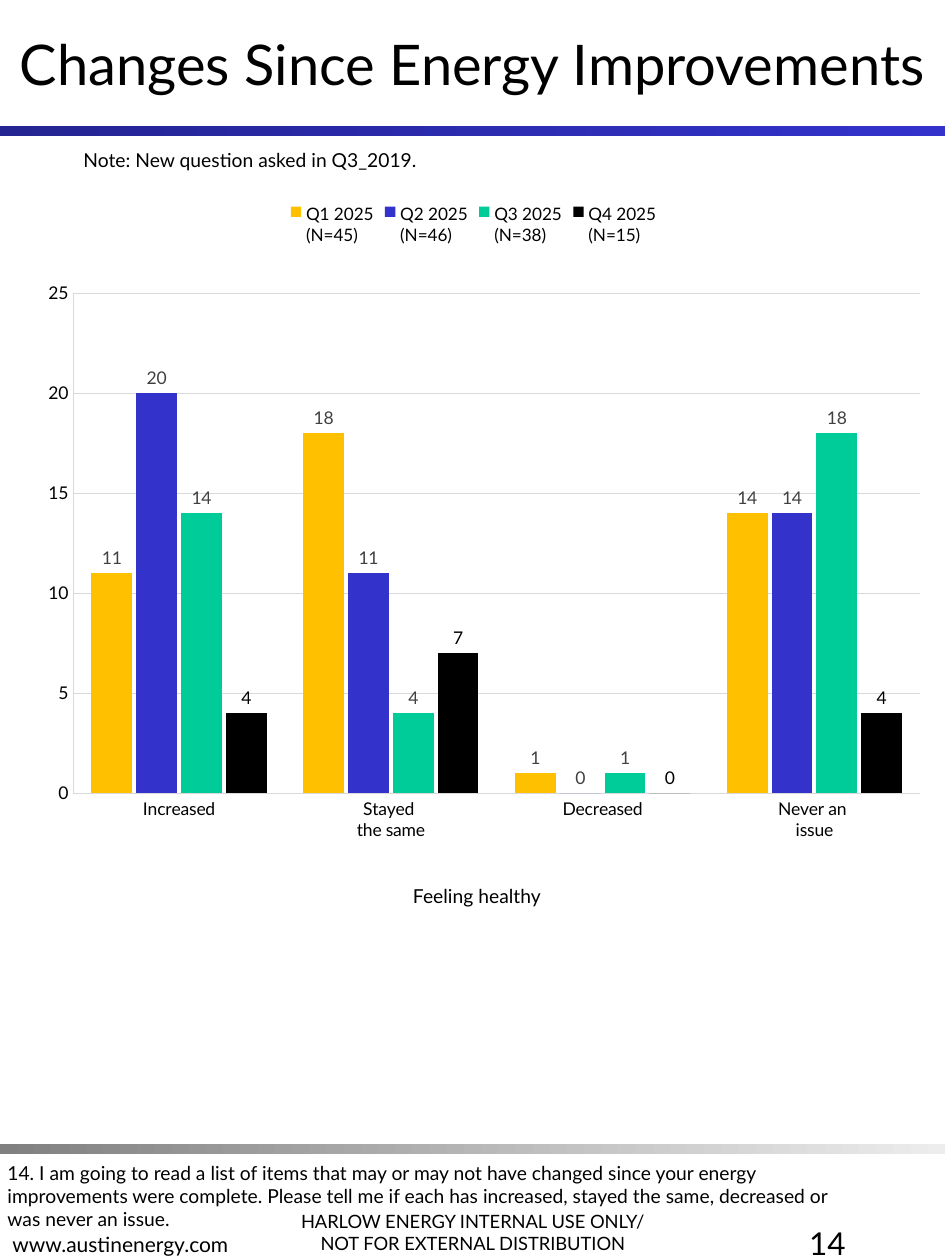
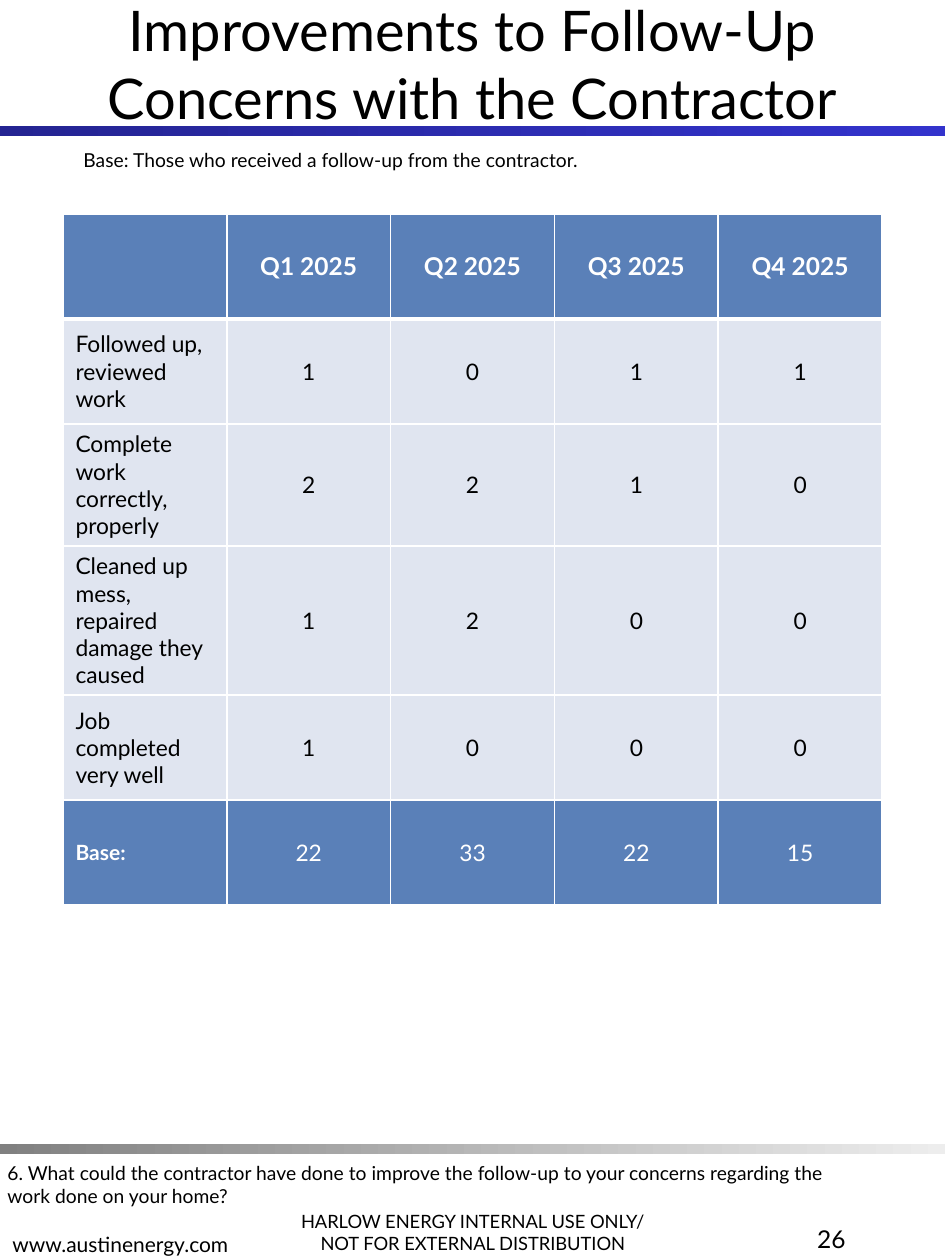
from lxml import etree
from pptx import Presentation
from pptx import util as u
from pptx.chart.data import CategoryChartData
from pptx.dml.color import RGBColor
from pptx.enum import chart as charts, shapes, text
from pptx.oxml import parse_xml
from pptx.oxml.ns import nsdecls, qn

FONT = "Lato"
COLORS = {
    "black": "000000", "white": "FFFFFF", "label": "404040", "grid": "D9D9D9",
    "navy": "242492", "blue": "3333CC", "gray": "808080", "silver": "EDEDED",
    "gold": "FFC000", "green": "00CC99", "head": "5A80B8", "body": "E0E5F0",
}
BANDS = [(126, "navy", "blue"), (1144, "gray", "silver")]
FOOTERS = [
    (["HARLOW ENERGY INTERNAL USE ONLY/", "NOT FOR EXTERNAL DISTRIBUTION"],
     (272, 1176, 402, 84), 10.5, "center"),
    (["www.austinenergy.com"], (0, 1179, 402, 84), 12, "left"),
]
CHANGES = {
    "title": "Changes Since Energy Improvements",
    "note": "Note: New question asked in Q3_2019.",
    "question": "14. I am going to read a list of items that may or may not have changed since "
                "your energy improvements were complete. Please tell me if each has increased, "
                "stayed the same, decreased or was never an issue.",
    "page": ("14", 18),
}
ANSWERS = ["Increased", "Stayed \nthe same", "Decreased", "Never an \nissue"]
QUARTERS = [
    ("Q1 2025\n(N=45)", (11, 18, 1, 14), "gold", "label"),
    ("Q2 2025\n(N=46)", (20, 11, 0, 14), "blue", "label"),
    ("Q3 2025\n(N=38)", (14, 4, 1, 18), "green", "label"),
    ("Q4 2025\n(N=15)", (4, 7, 0, 4), "black", "black"),
]
PLOT_AREA = {"x": 0.07, "y": 0.14, "w": 0.91, "h": 0.67}
FOLLOW_UP = {
    "title": "Improvements to Follow-Up Concerns with the Contractor",
    "note": "Base: Those who received a follow-up from the contractor.",
    "question": "6. What could the contractor have done to improve the follow-up to your "
                "concerns regarding the work done on your home?",
    "page": ("26", 14),
}
CONCERNS = [
    ("", "Q1 2025", "Q2 2025", "Q3 2025", "Q4 2025"),
    ("Followed up, reviewed work", "1", "0", "1", "1"),
    ("Complete work correctly, properly", "2", "2", "1", "0"),
    ("Cleaned up mess, repaired damage they caused", "1", "2", "0", "0"),
    ("Job completed very well", "1", "0", "0", "0"),
    ("Base:", "22", "33", "22", "15"),
]
ALIGN = {"left": text.PP_ALIGN.LEFT, "center": text.PP_ALIGN.CENTER,
         "right": text.PP_ALIGN.RIGHT}


def px(length):
    """Turn px into EMU."""
    return u.Emu(round(length * 914400 / 126))


def rgb(color):
    """Look up a named colour."""
    return RGBColor.from_string(COLORS[color])


def style(font, size, color="black", bold=False):
    """Format a font."""
    font.name, font.size, font.bold = FONT, u.Pt(size), bold
    font.color.rgb = rgb(color)


def write(frame, lines, size, align="left", color="black", bold=False):
    """Write one paragraph per line."""
    for index, line in enumerate(lines):
        paragraph = frame.add_paragraph() if index else frame.paragraphs[0]
        paragraph.alignment = ALIGN[align]
        run = paragraph.add_run()
        run.text = line
        style(run.font, size, color, bold)


def add_text(slide, lines, place, size, align="left", anchor=text.MSO_ANCHOR.TOP, wrap=True):
    """Add a text box."""
    frame = slide.shapes.add_textbox(*map(px, place)).text_frame
    frame.word_wrap, frame.vertical_anchor = wrap, anchor
    write(frame, lines, size, align)


def add_band(slide, top, start, end):
    """Add a full-width gradient band."""
    band = slide.shapes.add_shape(shapes.MSO_SHAPE.RECTANGLE, 0, px(top), px(945), px(10))
    band.shadow.inherit = False
    band.line.fill.background()
    band.fill.gradient()
    band.fill.gradient_angle = 0
    for stop, color in zip(band.fill.gradient_stops, (start, end)):
        stop.color.rgb = rgb(color)


def add_page(deck, content):
    """Add a slide with the shared bands, footers, title, note and question."""
    slide = deck.slides.add_slide(deck.slide_layouts[5])
    for band in BANDS:
        add_band(slide, *band)
    for lines, place, size, align in FOOTERS:
        add_text(slide, lines, place, size, align, text.MSO_ANCHOR.BOTTOM)
    title = slide.shapes.title
    title.left, title.top, title.width, title.height = map(px, (0, 0, 945, 126))
    title.text_frame.auto_size = text.MSO_AUTO_SIZE.NONE
    title.text_frame.vertical_anchor = text.MSO_ANCHOR.MIDDLE
    write(title.text_frame, [content["title"]], 32, "center")
    number, size = content["page"]
    add_text(slide, [number], (661, 1218, 197, 84), size, "right")
    add_text(slide, [content["note"]], (71, 142, 811, 37), 11)
    add_text(slide, [content["question"]], (-5, 1155, 863, 83), 11)
    return slide


def set_plot_area(chart):
    """Fix the inner plot area as fractions of the chart."""
    plot_area = chart.element.find(".//" + qn("c:plotArea"))
    for layout in plot_area.findall(qn("c:layout")):
        plot_area.remove(layout)
    layout = etree.Element(qn("c:layout"))
    manual = etree.SubElement(layout, qn("c:manualLayout"))
    settings = {"layoutTarget": "inner", "xMode": "edge", "yMode": "edge", **PLOT_AREA}
    for name, value in settings.items():
        etree.SubElement(manual, qn("c:" + name)).set("val", str(value))
    plot_area.insert(0, layout)


def add_answers_chart(slide):
    """Add the clustered columns of answers per quarter."""
    data = CategoryChartData()
    data.categories = ANSWERS
    for name, counts, _, _ in QUARTERS:
        data.add_series(name, counts)
    chart = slide.shapes.add_chart(charts.XL_CHART_TYPE.COLUMN_CLUSTERED,
                                   *map(px, (8, 189, 931, 746)), data).chart
    style(chart.font, 10)
    chart.has_title = False
    chart.has_legend = True
    chart.legend.position = charts.XL_LEGEND_POSITION.TOP
    chart.legend.include_in_layout = False
    style(chart.legend.font, 9.8)
    answers, counts = chart.category_axis, chart.value_axis
    for axis, width in ((answers, 0.62), (counts, 0.41)):
        axis.major_tick_mark = axis.minor_tick_mark = charts.XL_TICK_MARK.NONE
        style(axis.tick_labels.font, 10)
        axis.format.line.color.rgb = rgb("grid")
        axis.format.line.width = u.Pt(width)
    counts.minimum_scale, counts.maximum_scale, counts.major_unit = 0, 25, 5
    counts.major_gridlines.format.line.color.rgb = rgb("grid")
    counts.major_gridlines.format.line.width = u.Pt(0.62)
    plot = chart.plots[0]
    plot.gap_width, plot.overlap, plot.vary_by_categories = 90, -10, False
    for quarter, (_, _, fill, label) in zip(plot.series, QUARTERS):
        quarter.format.fill.solid()
        quarter.format.fill.fore_color.rgb = rgb(fill)
        labels = quarter.data_labels
        labels.show_value = True
        labels.position = charts.XL_LABEL_POSITION.OUTSIDE_END
        style(labels.font, 10, label)
    set_plot_area(chart)


def set_borders(cell, widths):
    """Draw white borders, given widths in points by side."""
    for side, width in widths.items():
        cell._tc.get_or_add_tcPr().append(parse_xml(
            f'<a:ln{side} {nsdecls("a")} w="{u.Pt(width)}"><a:solidFill>'
            f'<a:srgbClr val="{COLORS["white"]}"/></a:solidFill></a:ln{side}>'))


def add_concerns_table(slide):
    """Add the table of concerns per quarter."""
    last = len(CONCERNS) - 1
    table = slide.shapes.add_table(len(CONCERNS), len(CONCERNS[0]),
                                   *map(px, (63, 214, 819, 630))).table
    table.horz_banding = table.first_row = False
    for r, concern in enumerate(CONCERNS):
        dark = r in (0, last)
        for c, entry in enumerate(concern):
            cell = table.cell(r, c)
            set_borders(cell, {"L": 1, "R": 1, "T": 3 if r == 1 else 1, "B": 1 if r else 3})
            cell.fill.solid()
            cell.fill.fore_color.rgb = rgb("head" if dark else "body")
            cell.vertical_anchor = text.MSO_ANCHOR.MIDDLE
            size = 14 if r == 0 else 12 if (r, c) == (last, 0) else 13
            if entry:
                write(cell.text_frame, [entry], size, "center" if c else "left",
                      "white" if dark else "black", size != 13)


def main():
    """Build the deck."""
    deck = Presentation()
    deck.slide_width, deck.slide_height = px(945), px(1260)
    changes = add_page(deck, CHANGES)
    add_answers_chart(changes)
    add_text(changes, ["Feeling healthy"], (387, 878, 180, 57), 11, "center", wrap=False)
    add_concerns_table(add_page(deck, FOLLOW_UP))
    deck.save("out.pptx")


if __name__ == "__main__":
    main()
